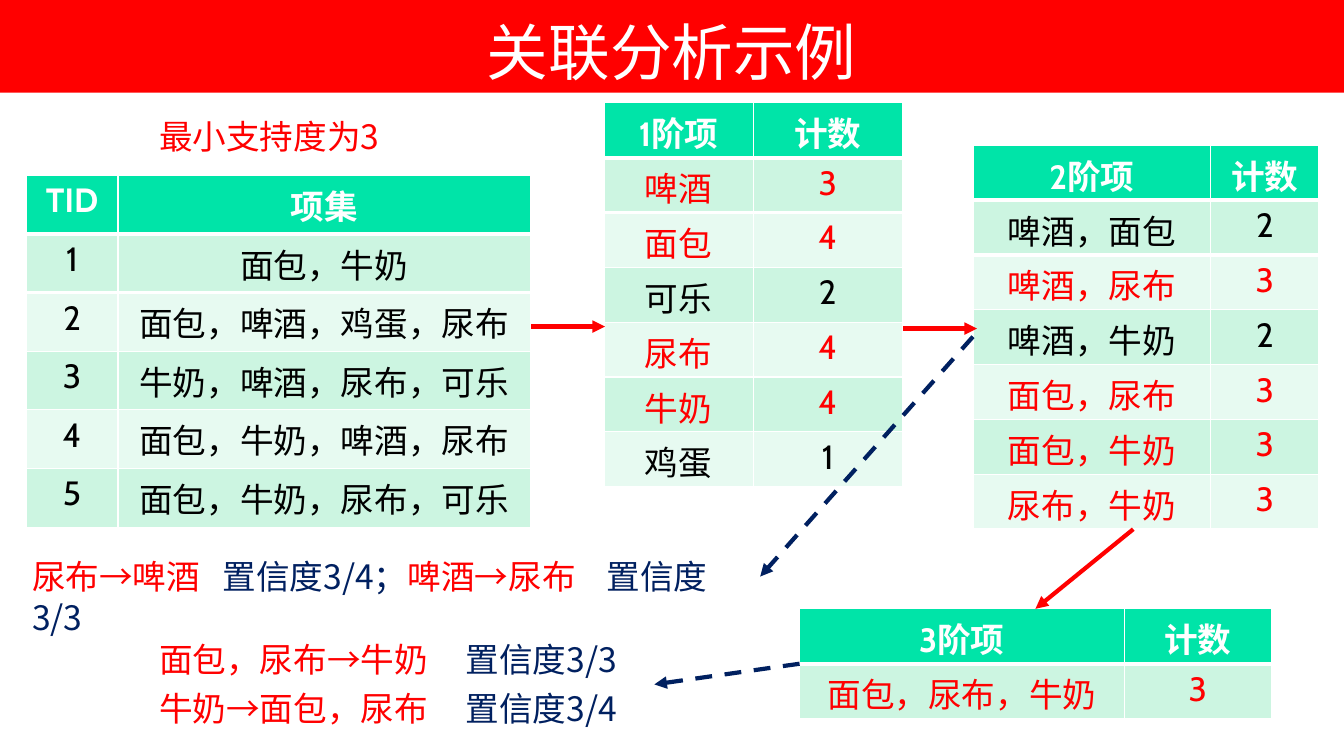
from dataclasses import dataclass
from typing import Optional

from pptx import Presentation
from pptx.dml.color import RGBColor
from pptx.enum.dml import MSO_LINE
from pptx.enum.shapes import MSO_CONNECTOR, MSO_SHAPE
from pptx.enum.text import MSO_ANCHOR, MSO_AUTO_SIZE, PP_ALIGN
from pptx.oxml.ns import qn
from pptx.shapes.graphfrm import GraphicFrame
from pptx.slide import Slide
from pptx.table import _Cell as Cell
from pptx.util import Inches, Pt
from lxml.etree import SubElement

RED = RGBColor(0xFF, 0x00, 0x00)
NAVY = RGBColor(0x00, 0x20, 0x60)
WHITE = RGBColor(0xFF, 0xFF, 0xFF)
BLACK = RGBColor(0x00, 0x00, 0x00)
HEADER_GREEN = RGBColor(0x00, 0xE4, 0xA8)
BANDS = (RGBColor(0xCC, 0xF5, 0xE1), RGBColor(0xE7, 0xFA, 0xF1))

TABLE_FONT = "Cabin"
NOTE_FONT = "Noto Sans CJK JP"
BODY_SIZE = Pt(24)
MINIMUM_SUPPORT = 3


@dataclass(frozen=True)
class ItemTable:
    left: float
    top: float
    widths: tuple[float, float]
    height: float
    header: tuple[str, str]
    rows: tuple[tuple[str, str], ...]
    counted: bool = True


@dataclass(frozen=True)
class Note:
    """Lines of (text, colour) spans; tab stops are measured from the text edge."""
    left: float
    top: float
    width: float
    height: float
    lines: tuple[tuple[tuple[str, RGBColor], ...], ...]
    tab_stops: tuple[float, ...] = ()
    space_before: int = 0


@dataclass(frozen=True)
class Arrow:
    start: tuple[float, float]
    end: tuple[float, float]
    color: RGBColor
    dashed: bool = False
    start_side: Optional[int] = None
    end_side: Optional[int] = None


TRANSACTIONS = ItemTable(0.26, 1.74, (0.91, 4.09), 3.49, ("TID", "项集"), (
    ("1", "面包，牛奶"),
    ("2", "面包，啤酒，鸡蛋，尿布"),
    ("3", "牛奶，啤酒，尿布，可乐"),
    ("4", "面包，牛奶，啤酒，尿布"),
    ("5", "面包，牛奶，尿布，可乐"),
), counted=False)
SINGLES = ItemTable(5.99, 1.02, (1.48, 1.48), 3.81, ("1阶项", "计数"), (
    ("啤酒", "3"), ("面包", "4"), ("可乐", "2"),
    ("尿布", "4"), ("牛奶", "4"), ("鸡蛋", "1"),
))
PAIRS = ItemTable(9.65, 1.44, (2.36, 1.07), 3.81, ("2阶项", "计数"), (
    ("啤酒，面包", "2"), ("啤酒，尿布", "3"), ("啤酒，牛奶", "2"),
    ("面包，尿布", "3"), ("面包，牛奶", "3"), ("尿布，牛奶", "3"),
))
TRIPLES = ItemTable(7.93, 6.04, (3.22, 1.46), 1.09, ("3阶项", "计数"), (
    ("面包，尿布，牛奶", "3"),
))

NOTES = (
    Note(0.22, 5.47, 7.33, 0.5, ((
        ("尿布→啤酒\t", RED), ("置信度3/4；", NAVY),
        ("啤酒→尿布\t", RED), ("置信度3/3", NAVY),
    ),), tab_stops=(1.89, 5.7)),
    Note(1.48, 1.1, 2.52, 0.5, ((("最小支持度为3", RED),),)),
    Note(1.48, 6.29, 5.01, 0.99, (
        (("面包，尿布→牛奶\t", RED), ("置信度3/3", NAVY)),
        (("牛奶→面包，尿布\t", RED), ("置信度3/4", NAVY)),
    ), tab_stops=(3.04,), space_before=6),
)

# Sides refer to the table of triples.
ARROWS = (
    Arrow((5.27, 3.24), (6, 3.24), RED),
    Arrow((8.96, 3.26), (9.69, 3.26), RED),
    Arrow((11.24, 5.25), (10.27, 6.04), RED, end_side=0),
    Arrow((7.93, 6.59), (6.49, 6.79), NAVY, dashed=True, start_side=1),
    Arrow((9.65, 3.34), (7.54, 5.72), NAVY, dashed=True),
)


def add_title(page: Slide, text: str) -> None:
    banner = page.shapes.add_shape(
        MSO_SHAPE.RECTANGLE, 0, 0, Inches(13.33), Inches(0.92))
    banner.shadow.inherit = False
    banner.fill.solid()
    banner.fill.fore_color.rgb = RED
    banner.line.fill.background()
    banner.text_frame.vertical_anchor = MSO_ANCHOR.BOTTOM
    para = banner.text_frame.paragraphs[0]
    para.text = text
    para.alignment = PP_ALIGN.CENTER
    para.font.name = TABLE_FONT
    para.font.size = Pt(44)
    para.font.color.rgb = WHITE


def add_header_rule(cell: Cell, edge: str) -> None:
    """Give one edge of a cell the thick white rule below the header."""
    properties = cell._tc.get_or_add_tcPr()
    border = SubElement(properties, qn(edge), w=str(Pt(3)))
    fill = SubElement(border, qn("a:solidFill"))
    SubElement(fill, qn("a:srgbClr"), val=str(WHITE))
    properties.insert(0, border)


def add_item_table(page: Slide, item: ItemTable) -> GraphicFrame:
    """Draw a banded table, with itemsets that reach the minimum support in red."""
    rows = (item.header, *item.rows)
    frame = page.shapes.add_table(
        len(rows), len(item.widths), Inches(item.left), Inches(item.top),
        Inches(sum(item.widths)), Inches(item.height))
    table = frame.table
    for column, width in zip(table.columns, item.widths):
        column.width = Inches(width)
    for row_index, values in enumerate(rows):
        is_header = row_index == 0
        frequent = (not is_header and item.counted
                    and int(values[1]) >= MINIMUM_SUPPORT)
        color = WHITE if is_header else RED if frequent else BLACK
        for column_index, value in enumerate(values):
            cell = table.cell(row_index, column_index)
            cell.margin_bottom = 0
            cell.fill.solid()
            cell.fill.fore_color.rgb = (
                HEADER_GREEN if is_header else BANDS[(row_index - 1) % 2])
            if row_index < 2:
                add_header_rule(cell, "a:lnB" if is_header else "a:lnT")
            para = cell.text_frame.paragraphs[0]
            para.text = value
            para.alignment = PP_ALIGN.CENTER
            para.font.name = TABLE_FONT
            para.font.size = BODY_SIZE
            para.font.bold = is_header
            para.font.color.rgb = color
    return frame


def add_note(page: Slide, note: Note) -> None:
    box = page.shapes.add_textbox(Inches(note.left), Inches(note.top),
                                  Inches(note.width), Inches(note.height))
    text_frame = box.text_frame
    text_frame.word_wrap = True
    text_frame.auto_size = MSO_AUTO_SIZE.SHAPE_TO_FIT_TEXT
    for index, line in enumerate(note.lines):
        para = text_frame.add_paragraph() if index else text_frame.paragraphs[0]
        para.space_before = Pt(note.space_before)
        if note.tab_stops:
            tabs = SubElement(para._p.get_or_add_pPr(), qn("a:tabLst"))
            for stop in note.tab_stops:
                SubElement(tabs, qn("a:tab"), pos=str(Inches(stop)), algn="l")
        para.font.name = NOTE_FONT
        para.font.size = BODY_SIZE
        for text, color in line:
            span = para.add_run()
            span.text = text
            span.font.color.rgb = color


def add_arrow(page: Slide, arrow: Arrow, target: GraphicFrame) -> None:
    points = [Inches(value) for value in (*arrow.start, *arrow.end)]
    connector = page.shapes.add_connector(MSO_CONNECTOR.STRAIGHT, *points)
    if arrow.start_side is not None:
        connector.begin_connect(target, arrow.start_side)
    if arrow.end_side is not None:
        connector.end_connect(target, arrow.end_side)
    connector.line.color.rgb = arrow.color
    connector.line.width = Pt(3)
    if arrow.dashed:
        connector.line.dash_style = MSO_LINE.DASH
    properties = connector._element.spPr
    SubElement(properties.find(qn("a:ln")), qn("a:tailEnd"), type="triangle")
    SubElement(properties, qn("a:effectLst"))


def main() -> None:
    deck = Presentation()
    deck.slide_width, deck.slide_height = Inches(13.33), Inches(7.5)
    page = deck.slides.add_slide(deck.slide_layouts[6])
    add_title(page, "关联分析示例")
    for item in (TRANSACTIONS, SINGLES, PAIRS):
        add_item_table(page, item)
    triples = add_item_table(page, TRIPLES)
    for note in NOTES:
        add_note(page, note)
    for arrow in ARROWS:
        add_arrow(page, arrow, triples)
    deck.save("out.pptx")


if __name__ == "__main__":
    main()
